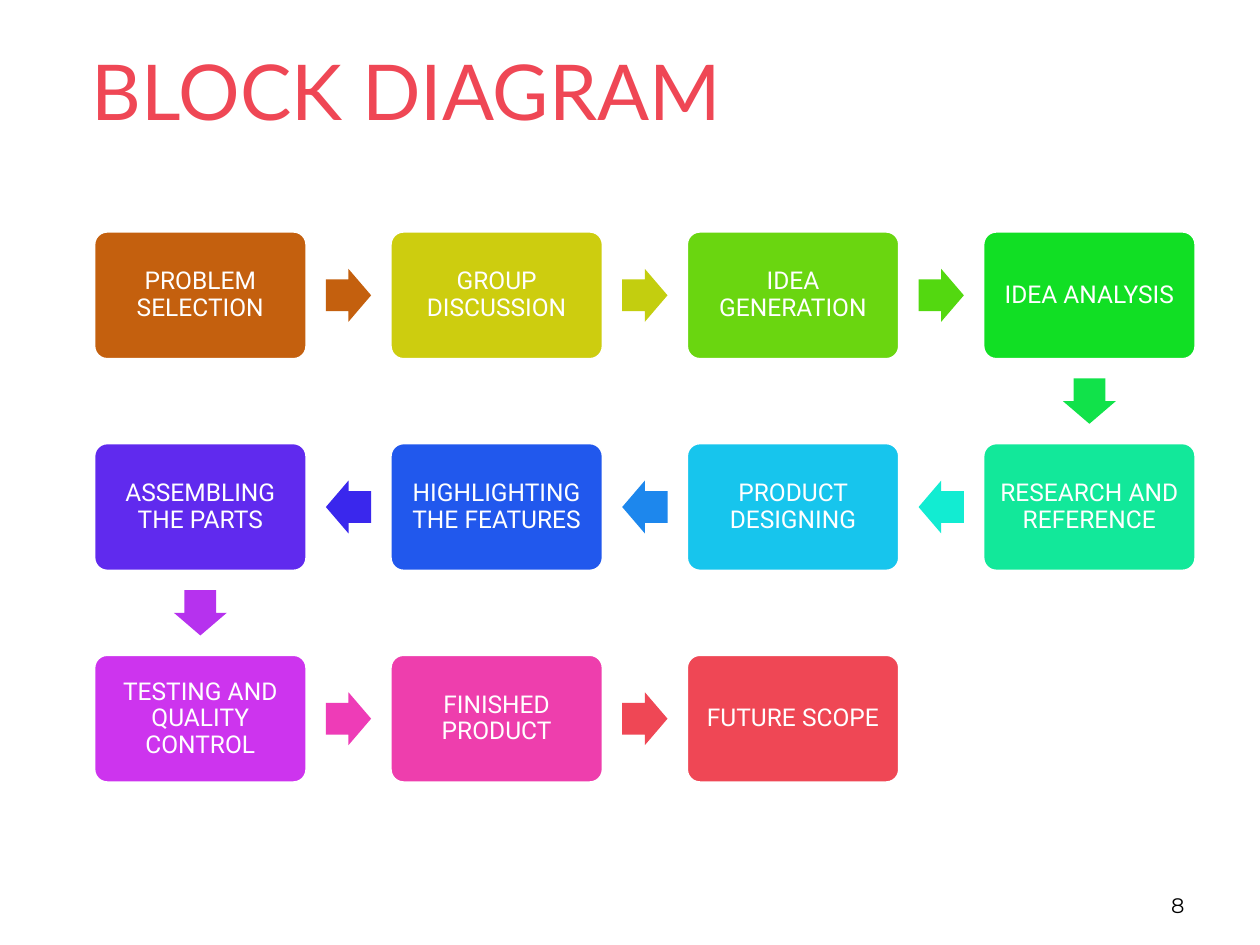
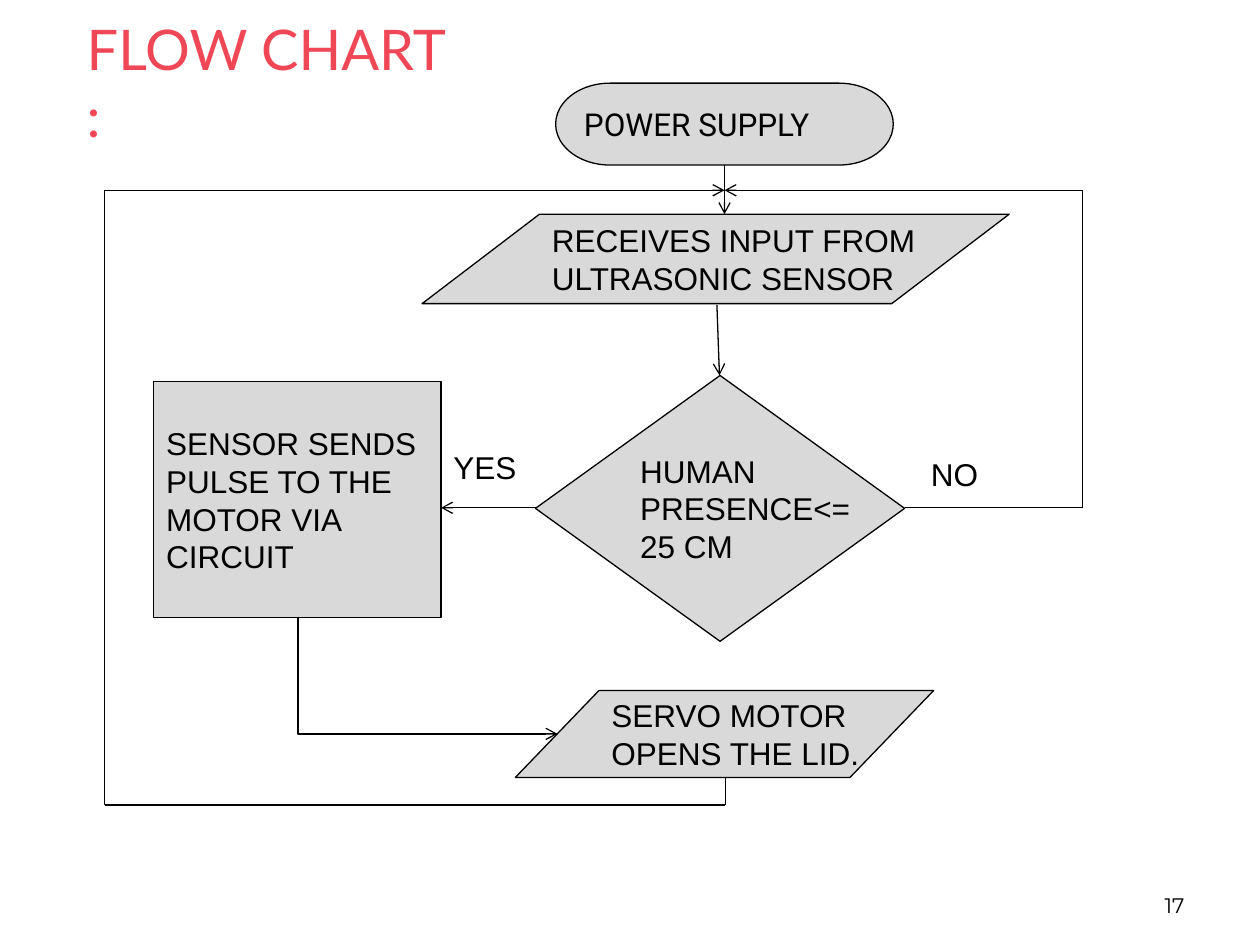
import math

import pptx
import pptx.dml.color
import pptx.enum.shapes
import pptx.enum.text
import pptx.oxml
import pptx.oxml.ns
import pptx.util

COLORS = {
    "title": "EF4755",
    "ink": "000000",
    "paper": "FFFFFF",
    "node": "D9D9D9",
}
SHAPES = pptx.enum.shapes.MSO_SHAPE
ALIGN = pptx.enum.text.PP_ALIGN
ANCHOR = pptx.enum.text.MSO_ANCHOR

presentation = pptx.Presentation()
presentation.slide_width = pptx.util.Inches(10)
presentation.slide_height = pptx.util.Inches(7.5)
cell = presentation.slide_width / 100


def grid(*cells):
    return [round(value * cell) for value in cells]


def write(shape, text, font, size, color, align=ALIGN.LEFT, anchor=ANCHOR.MIDDLE, wrap=True):
    text_frame = shape.text_frame
    text_frame.text = text
    text_frame.word_wrap = wrap
    text_frame.vertical_anchor = anchor
    for paragraph in text_frame.paragraphs:
        paragraph.alignment = align
        for run in paragraph.runs:
            run.font.name = font
            run.font.size = pptx.util.Pt(size)
            run.font.color.rgb = pptx.dml.color.RGBColor.from_string(color)


pages = [
    ("BLOCK DIAGRAM", 44, (6.3, 3.6, 90, 7.1), "8"),
    ("FLOW CHART :", 32, (5.9, 2.9, 31, 7.1), "17"),
]
for title, title_size, title_area, number in pages:
    slide = presentation.slides.add_slide(presentation.slide_layouts[6])
    title_box = slide.shapes.add_textbox(*grid(*title_area))
    write(title_box, title, "Lato", title_size, COLORS["title"])
    number_box = slide.shapes.add_textbox(*grid(71.7, 68.3, 23.3, 5))
    write(number_box, number, "Montserrat", 12, COLORS["ink"], ALIGN.RIGHT, ANCHOR.BOTTOM)

block_slide, flow_slide = presentation.slides

steps = [
    ("PROBLEM SELECTION", "C4600E", "C4600E"),
    ("GROUP DISCUSSION", "CDCD0F", "C3CE0F"),
    ("IDEA GENERATION", "6AD610", "53D810"),
    ("IDEA ANALYSIS", "11DF24", "11E24A"),
    ("RESEARCH AND REFERENCE", "12E89A", "12ECD2"),
    ("PRODUCT DESIGNING", "17C5ED", "1D87ED"),
    ("HIGHLIGHTING THE FEATURES", "2158ED", "3A27ED"),
    ("ASSEMBLING THE PARTS", "602AEE", "B632EE"),
    ("TESTING AND QUALITY CONTROL", "CD34EE", "EE3CB7"),
    ("FINISHED PRODUCT", "EE3EAD", "EF4755"),
    ("FUTURE SCOPE", "EF4755", None),
]
per_row = 4
box_width = 16.8
box_height = box_width * 0.6
column_step = box_width * 1.4
row_step = box_width
arrow_length, arrow_width = 3.6, 4.2

corners = []
for index in range(len(steps)):
    row, column = divmod(index, per_row)
    if row % 2:
        column = per_row - 1 - column
    corners.append((7.5 + column * column_step, 18.4 + row * row_step))

for index, (text, box_color, arrow_color) in enumerate(steps):
    left, top = corners[index]
    box = block_slide.shapes.add_shape(
        SHAPES.ROUNDED_RECTANGLE, *grid(left, top, box_width, box_height))
    box.adjustments[0] = 0.1
    box.shadow.inherit = False
    box.fill.solid()
    box.fill.fore_color.rgb = pptx.dml.color.RGBColor.from_string(box_color)
    box.line.color.rgb = pptx.dml.color.RGBColor.from_string(COLORS["paper"])
    box.line.width = pptx.util.Pt(1)
    write(box, text, "Roboto", 14, COLORS["paper"], ALIGN.CENTER)
    box.text_frame.paragraphs[0].line_spacing = 0.9
    box.text_frame.margin_left = box.text_frame.margin_right = pptx.util.Inches(0.06)
    box.text_frame.margin_top = box.text_frame.margin_bottom = pptx.util.Inches(0.06)
    if arrow_color:
        next_left, next_top = corners[index + 1]
        center_x = (left + next_left + box_width) / 2
        center_y = (top + next_top + box_height) / 2
        arrow = block_slide.shapes.add_shape(SHAPES.RIGHT_ARROW, *grid(
            center_x - arrow_length / 2, center_y - arrow_width / 2, arrow_length, arrow_width))
        arrow.adjustments[0] = 0.6
        arrow.adjustments[1] = 0.5
        arrow.rotation = math.degrees(math.atan2(next_top - top, next_left - left))
        arrow.shadow.inherit = False
        arrow.fill.solid()
        arrow.fill.fore_color.rgb = pptx.dml.color.RGBColor.from_string(arrow_color)
        arrow.line.fill.background()

nodes = [
    (SHAPES.FLOWCHART_DATA, (33.5, 17, 46.6, 7.1), "Arial",
     "RECEIVES INPUT FROM\nULTRASONIC SENSOR"),
    (SHAPES.FLOWCHART_TERMINATOR, (44.1, 6.6, 26.8, 6.5), "Roboto", "POWER SUPPLY"),
    (SHAPES.FLOWCHART_DECISION, (42.5, 29.8, 29.3, 21.1), "Arial", "HUMAN\nPRESENCE<=\n25 CM"),
    (SHAPES.FLOWCHART_PROCESS, (12.2, 30.3, 22.8, 18.7), "Arial",
     "SENSOR SENDS\nPULSE TO THE\nMOTOR VIA\nCIRCUIT"),
    (SHAPES.FLOWCHART_DATA, (40.9, 54.8, 33.2, 6.9), "Arial", "SERVO MOTOR\nOPENS THE LID."),
]
for kind, area, font, text in nodes:
    node = flow_slide.shapes.add_shape(kind, *grid(*area))
    node.shadow.inherit = False
    node.fill.solid()
    node.fill.fore_color.rgb = pptx.dml.color.RGBColor.from_string(COLORS["node"])
    node.line.color.rgb = pptx.dml.color.RGBColor.from_string(COLORS["ink"])
    node.line.width = pptx.util.Pt(0.75)
    write(node, text, font, 18, COLORS["ink"], wrap=False)

for text, area in [("YES", (35, 35.1, 7.6, 4)), ("NO", (72.9, 35.6, 7.1, 4))]:
    label = flow_slide.shapes.add_textbox(*grid(*area))
    write(label, text, "Arial", 18, COLORS["ink"], anchor=ANCHOR.TOP)

loop_left, loop_right, loop_top, loop_bottom = 8.3, 85.9, 15.1, 63.9
main_x, decision_y = 57.5, 40.3
links = [
    ((main_x, 13.1), (main_x, 17), True, False),
    ((loop_right, loop_top), (main_x, loop_top), True, False),
    ((71.8, decision_y), (loop_right, decision_y), False, False),
    ((loop_right, loop_top), (loop_right, decision_y), False, False),
    ((56.9, 24.2), (57.1, 29.8), True, False),
    ((main_x, loop_bottom), (loop_left, loop_bottom), False, False),
    ((42.5, decision_y), (35, decision_y), True, False),
    ((loop_left, loop_bottom), (loop_left, loop_top), False, False),
    ((loop_left, loop_top), (main_x, loop_top), True, False),
    ((57.6, 61.7), (57.6, loop_bottom), False, False),
    ((38.6, 43.3), (29.3, 63.9), True, True),
]
for start, end, has_head, is_bent in links:
    link = flow_slide.shapes.add_connector(
        pptx.enum.shapes.MSO_CONNECTOR.STRAIGHT, *grid(*start, *end))
    link.line.color.rgb = pptx.dml.color.RGBColor.from_string(COLORS["ink"])
    link.line.width = pptx.util.Pt(0.75)
    properties = link.element.spPr
    if has_head:
        head = pptx.oxml.ns.qn("a:tailEnd")
        line = properties.find(pptx.oxml.ns.qn("a:ln"))
        line.append(line.makeelement(head, {"type": "arrow"}))
    if is_bent:
        properties.find(pptx.oxml.ns.qn("a:xfrm")).set("rot", str(270 * 60000))
        properties.find(pptx.oxml.ns.qn("a:prstGeom")).set("prst", "bentConnector2")
    properties.append(properties.makeelement(pptx.oxml.ns.qn("a:effectLst"), {}))

presentation.save("out.pptx")
